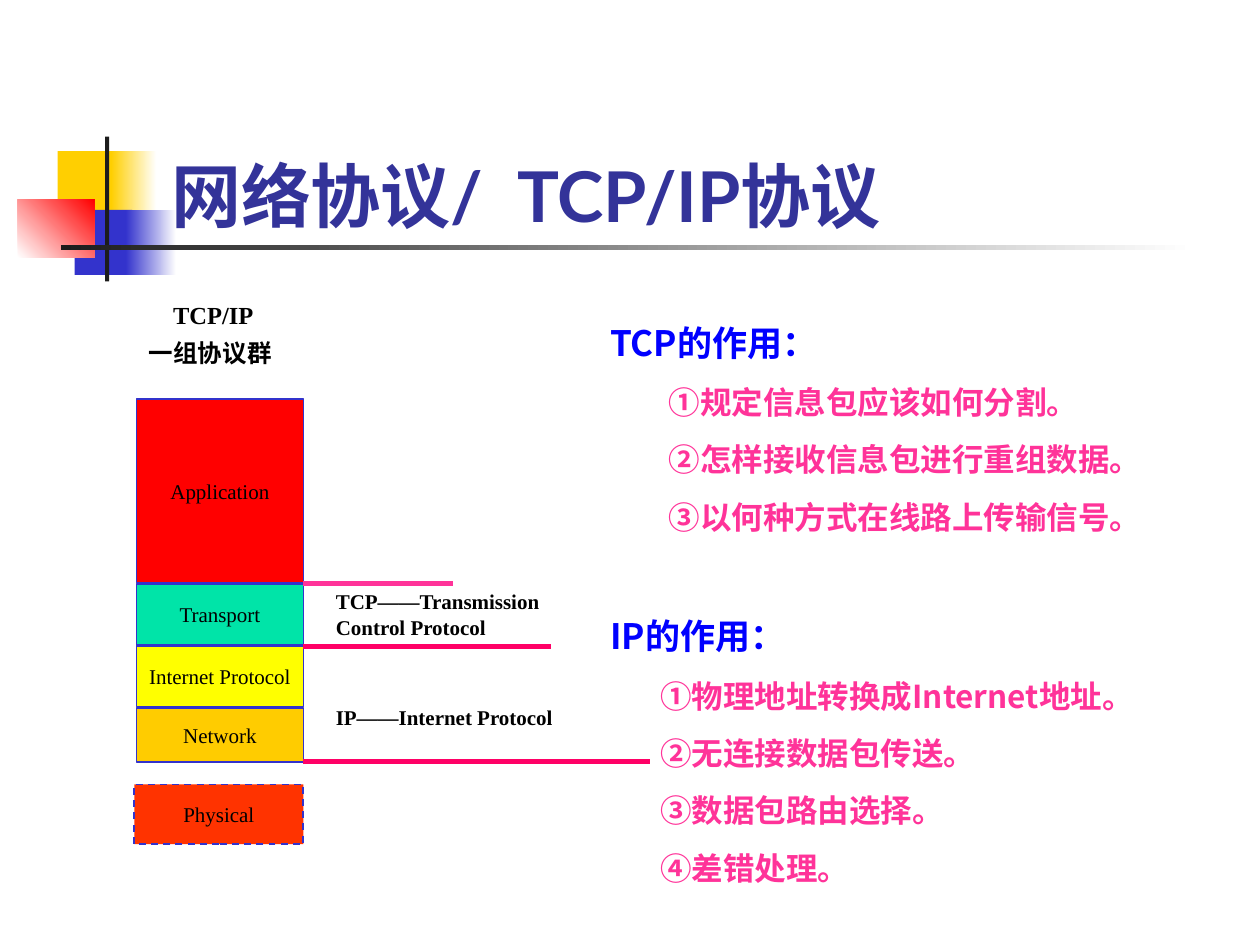
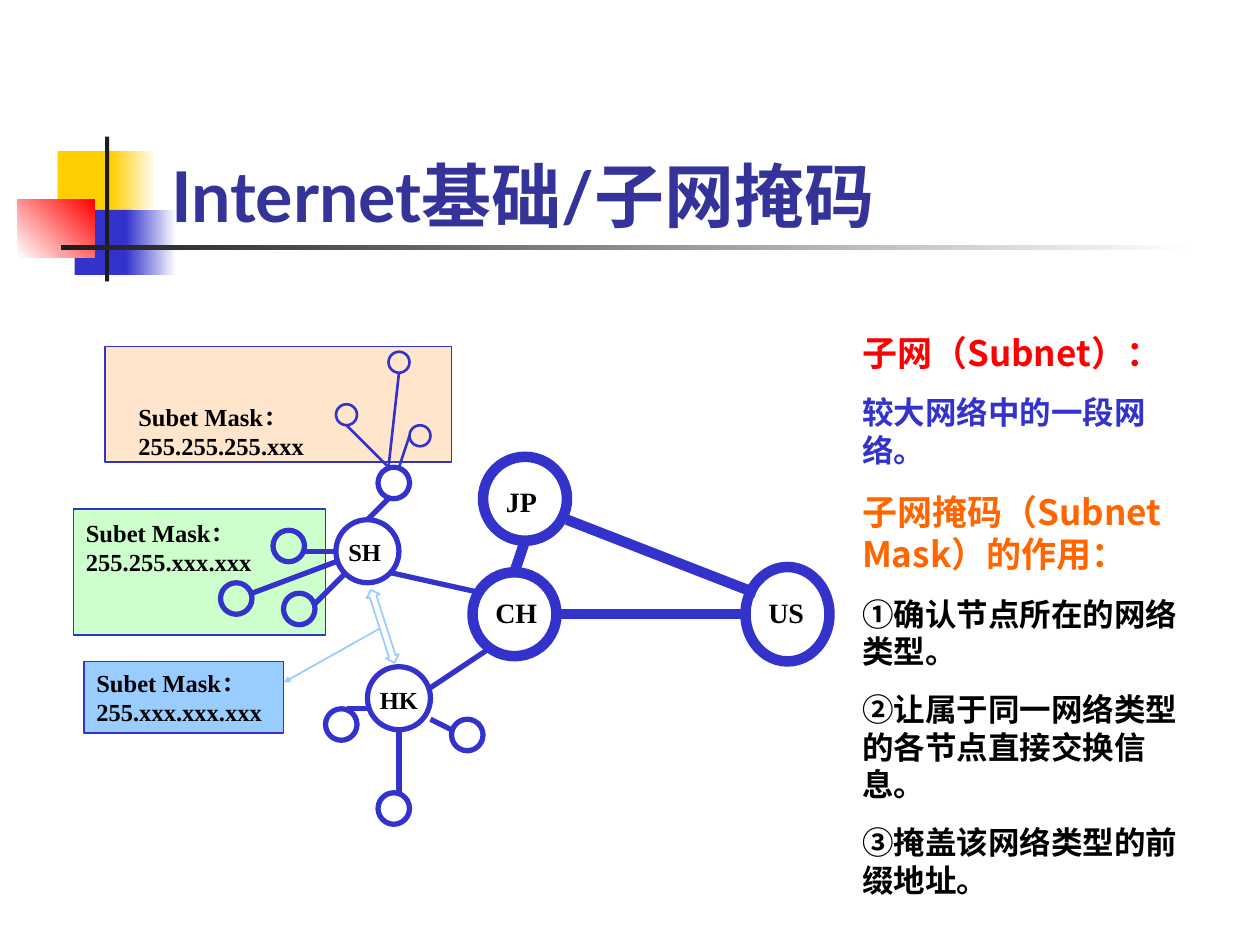
from dataclasses import dataclass

from lxml import etree
from pptx import Presentation
from pptx.dml.color import RGBColor
from pptx.enum.dml import MSO_LINE
from pptx.enum.shapes import MSO_CONNECTOR, MSO_SHAPE
from pptx.enum.text import MSO_ANCHOR, MSO_AUTO_SIZE, PP_ALIGN
from pptx.oxml.ns import qn
from pptx.util import Emu, Pt

PX = 7620
RECT, OVAL, UP_DOWN = MSO_SHAPE.RECTANGLE, MSO_SHAPE.OVAL, MSO_SHAPE.UP_DOWN_ARROW
STRAIGHT, DASH = MSO_CONNECTOR.STRAIGHT, MSO_LINE.DASH
TOP, MIDDLE, BOTTOM = MSO_ANCHOR.TOP, MSO_ANCHOR.MIDDLE, MSO_ANCHOR.BOTTOM
LEFT, CENTER, NO_FIT = PP_ALIGN.LEFT, PP_ALIGN.CENTER, MSO_AUTO_SIZE.NONE


@dataclass(frozen=True)
class Theme:
    title_face: str = "Lato"
    list_face: str = "Noto Sans CJK SC"
    label_face: str = "Times New Roman"
    title_size: int = 40
    heading_size: int = 20
    item_size: int = 18
    hub_size: int = 16
    label_size: int = 14
    layer_size: int = 12
    heading_gap: float = 12.5
    item_gap: float = 11.2
    line_ratio: float = 1.2
    title: str = "333399"
    blue: str = "3333CC"
    yellow: str = "FFCF01"
    red: str = "FF0000"
    dark: str = "1C1C1C"
    white: str = "FFFFFF"
    black: str = "000000"
    heading: str = "0000FF"
    pink: str = "FF3399"
    rose: str = "FF0066"
    orange: str = "FF6600"
    peach: str = "FFCC99"
    mint: str = "CCFFCC"
    sky: str = "99CCFF"
    teal: str = "00E4A8"
    lemon: str = "FFFF00"
    amber: str = "FFCC00"
    scarlet: str = "FF3300"


T = Theme()


def px(*values):
    return [Emu(v * PX) for v in values]


def rgb(color):
    return RGBColor.from_string(color)


def add_run(p, text, face, size, color, bold=True):
    r = p.add_run()
    r.text = text
    r.font.name = face
    r.font.size = Pt(size)
    r.font.bold = bold
    r.font.color.rgb = rgb(color)
    etree.SubElement(r.font._element, qn("a:ea"), typeface=face)
    return r


def next_paragraph(tf, index):
    return tf.add_paragraph() if index else tf.paragraphs[0]


def add_shape(slide, kind, box, fill=None, line=None, width=1):
    sp = slide.shapes.add_shape(kind, *px(*box))
    sp.shadow.inherit = False
    if fill:
        sp.fill.solid()
        sp.fill.fore_color.rgb = rgb(fill)
    else:
        sp.fill.background()
    if line:
        sp.line.color.rgb = rgb(line)
        sp.line.width = Pt(width)
    else:
        sp.line.fill.background()
    return sp


def add_line(slide, x1, y1, x2, y2, color, width):
    cxn = slide.shapes.add_connector(STRAIGHT, *px(x1, y1, x2, y2))
    cxn.line.color.rgb = rgb(color)
    cxn.line.width = Pt(width)
    etree.SubElement(cxn._element.spPr, qn("a:effectLst"))
    return cxn


def add_label(slide, box, rows, size):
    sp = slide.shapes.add_textbox(*px(*box))
    tf = sp.text_frame
    tf.word_wrap = True
    for i, (text, before, indent, face) in enumerate(rows):
        p = next_paragraph(tf, i)
        if indent:
            p._p.get_or_add_pPr().set("marL", str(indent * PX))
        if before:
            p.space_before = Pt(before)
        add_run(p, text, face, size, T.black)


def label_row(text, before=0, indent=0, face=T.label_face):
    return text, before, indent, face


def build_layout(prs):
    layout = prs.slide_layouts[1]
    title = layout.placeholders[0]
    title.left, title.top, title.width, title.height = px(151, 80, 1022, 151)
    return layout


def decorate(layout, slide):
    bands = [
        ((55, 144, 58, 62), T.yellow, None, 0),
        ((106, 144, 43, 62), T.yellow, T.white, 0),
        ((71, 200, 55, 62), T.blue, None, 0),
        ((120, 200, 48, 62), T.blue, T.white, 0),
        ((17, 190, 73, 55), T.white, T.red, 45),
        ((100, 130, 4, 138), T.dark, None, 0),
        ((58, 233, 1080, 5), T.dark, T.white, 0),
    ]
    for box, start, end, angle in bands:
        sp = add_shape(slide, RECT, box, start)
        if end:
            sp.fill.gradient()
            sp.fill.gradient_angle = angle
            for stop, color in zip(sp.fill.gradient_stops, (start, end)):
                stop.color.rgb = rgb(color)
        layout.shapes.element.append(sp._element)


def set_title(slide, *parts):
    tf = slide.shapes.title.text_frame
    tf.auto_size = NO_FIT
    tf.vertical_anchor = BOTTOM
    p = tf.paragraphs[0]
    p.alignment = LEFT
    for text in parts:
        r = add_run(p, text, T.title_face, T.title_size, T.title)
        if text == " ":
            r.font._element.set("spc", "970")


def fill_list(slide, box, rows):
    sp = slide.placeholders[1]
    sp.left, sp.top, sp.width, sp.height = px(*box)
    tf = sp.text_frame
    tf.auto_size = NO_FIT
    tf.vertical_anchor = TOP
    for i, (text, size, color, before, indent) in enumerate(rows):
        p = next_paragraph(tf, i)
        pPr = p._p.get_or_add_pPr()
        pPr.set("marL", str(indent * PX))
        pPr.set("indent", "0")
        pPr.set("hangingPunct", "0")
        etree.SubElement(pPr, qn("a:buNone"))
        p.line_spacing = Pt(size * T.line_ratio)
        p.space_before = Pt(before if i else 0)
        add_run(p, text, T.list_face, size, color)


def heading(text, color, before=T.heading_gap):
    return text, T.heading_size, color, before, 0


def items(texts, color, indent=0):
    return [(t, T.item_size, color, T.item_gap, indent) for t in texts]


def draw_layer(slide, box, name, fill):
    sp = add_shape(slide, RECT, box, fill, T.blue)
    tf = sp.text_frame
    tf.word_wrap = False
    tf.vertical_anchor = MIDDLE
    tf.paragraphs[0].alignment = CENTER
    add_run(tf.paragraphs[0], name, T.label_face, T.layer_size, T.black, False)
    return sp


def draw_stack(slide, x, y):
    width, gap = 159, 1
    layers = [
        ("Application", 175, T.red),
        ("Transport", 58, T.teal),
        ("Internet Protocol", 58, T.lemon),
        ("Network", 52, T.amber),
    ]
    add_label(slide, (x, y, 160, 83),
              [label_row("TCP/IP", indent=23),
               label_row("一组协议群", 5, face=T.list_face)], T.label_size)
    add_label(slide, (x + 178, y + 275, 260, 145),
              [label_row("TCP——Transmission Control Protocol"),
               label_row("IP——Internet Protocol", 37)], T.layer_size)
    top = y + 100
    for name, height, fill in layers:
        draw_layer(slide, (x, top, width, height), name, fill)
        top += height + gap
    physical = draw_layer(slide, (x - 2, y + 467, 161, 57), "Physical", T.scarlet)
    physical.line.dash_style = DASH
    for dy, length, color in [(336, 236, T.rose), (276, 142, T.pink), (445, 330, T.rose)]:
        add_line(slide, x + width, y + dy, x + width + length, y + dy, color, 3)


def draw_subnets(slide, x, y):
    areas = [
        ((0, 155, 240, 120), T.mint, (0, 157), "255.255.xxx.xxx"),
        ((30, 0, 330, 110), T.peach, (50, 47), "255.255.255.xxx"),
        ((10, 300, 190, 68), T.sky, (10, 300), "255.xxx.xxx.xxx"),
    ]
    for (dx, dy, w, h), fill, (tx, ty), mask in areas:
        sp = add_shape(slide, RECT, (x + dx, y + dy, w, h), fill, T.blue)
        if fill == T.peach:
            color = sp._element.spPr.find(qn("a:solidFill"))[0]
            etree.SubElement(color, qn("a:alpha"), val="50000")
        add_label(slide, (x + tx, y + ty, 190, 68),
                  [label_row("Subet Mask："), label_row(mask)], T.label_size)


def draw_network(slide, x, y):
    nodes = {
        6: [(380, 215, 80, 80), (640, 210, 80, 90), (390, 105, 80, 80)],
        3: [(250, 165, 60, 60), (280, 305, 60, 60)]
           + [(dx, dy, 30, 30) for dx, dy in
              [(200, 235), (190, 175), (140, 225), (290, 115),
               (240, 345), (290, 425), (360, 355)]],
        1.5: [(dx, dy, 20, 20) for dx, dy in [(320, 75), (250, 55), (300, 5)]],
    }
    links = {
        6: [(460, 255, 640, 255), (470, 165, 650, 235), (430, 185, 420, 215)],
        3: [(300, 215, 390, 235), (400, 285, 340, 325), (170, 235, 250, 205),
            (300, 145, 280, 165), (220, 195, 250, 195), (230, 245, 260, 215),
            (260, 345, 280, 345), (310, 365, 310, 425), (340, 355, 360, 365)],
        1.5: [(320, 85, 310, 115), (260, 75, 300, 115), (310, 25, 300, 115)],
    }
    labels = [
        ("US", 650, 231, 60, T.hub_size), ("JP", 400, 126, 60, T.hub_size),
        ("CH", 390, 231, 70, T.hub_size), ("HK", 280, 316, 70, T.label_size),
        ("SH", 250, 176, 70, T.label_size),
    ]
    for width, boxes in nodes.items():
        for dx, dy, w, h in boxes:
            add_shape(slide, OVAL, (x + dx, y + dy, w, h), None, T.blue, width)
    for width, ends in links.items():
        for x1, y1, x2, y2 in ends:
            add_line(slide, x + x1, y + y1, x + x2, y + y2, T.blue, width)
    for name, dx, dy, w, size in labels:
        add_label(slide, (x + dx, y + dy, w, 44), [label_row(name)], size)

    route = add_shape(slide, UP_DOWN, (x + 288, y + 230, 13, 73), None, T.sky)
    route.adjustments[0], route.adjustments[1] = 1.14, 0.5
    route.rotation = 342.2
    pointer = add_line(slide, x + 291, y + 269, x + 200, y + 320, T.sky, 1)
    etree.SubElement(pointer.line._get_or_add_ln(), qn("a:tailEnd"),
                     type="triangle", w="sm", len="sm")


def protocol_slide(slide):
    set_title(slide, "网络协议/", " ", "TCP/IP协议")
    draw_stack(slide, 130, 280)
    tcp = ["①规定信息包应该如何分割。", "②怎样接收信息包进行重组数据。",
           "③以何种方式在线路上传输信号。"]
    ip = ["①物理地址转换成Internet地址。", "②无连接数据包传送。",
          "③数据包路由选择。", "④差错处理。"]
    fill_list(slide, (569, 300, 600, 551),
              [heading("TCP的作用：", T.heading), *items(tcp, T.pink, 56),
               heading("IP的作用：", T.heading, 45.4), *items(ip, T.pink, 48)])


def subnet_slide(slide):
    set_title(slide, "Internet基础/子网掩码")
    draw_subnets(slide, 70, 330)
    draw_network(slide, 70, 330)
    uses = ["①确认节点所在的网络类型。", "②让属于同一网络类型的各节点直接交换信息。",
            "③掩盖该网络类型的前缀地址。"]
    fill_list(slide, (809, 310, 350, 480),
              [heading("子网（Subnet）：", T.red),
               *items(["较大网络中的一段网络。"], T.blue),
               heading("子网掩码（Subnet Mask）的作用：", T.orange),
               *items(uses, T.black)])


def main():
    prs = Presentation()
    prs.slide_width, prs.slide_height = px(1200, 900)
    layout = build_layout(prs)
    slides = [prs.slides.add_slide(layout) for _ in range(2)]
    decorate(layout, slides[0])
    protocol_slide(slides[0])
    subnet_slide(slides[1])
    prs.save("out.pptx")


if __name__ == "__main__":
    main()
